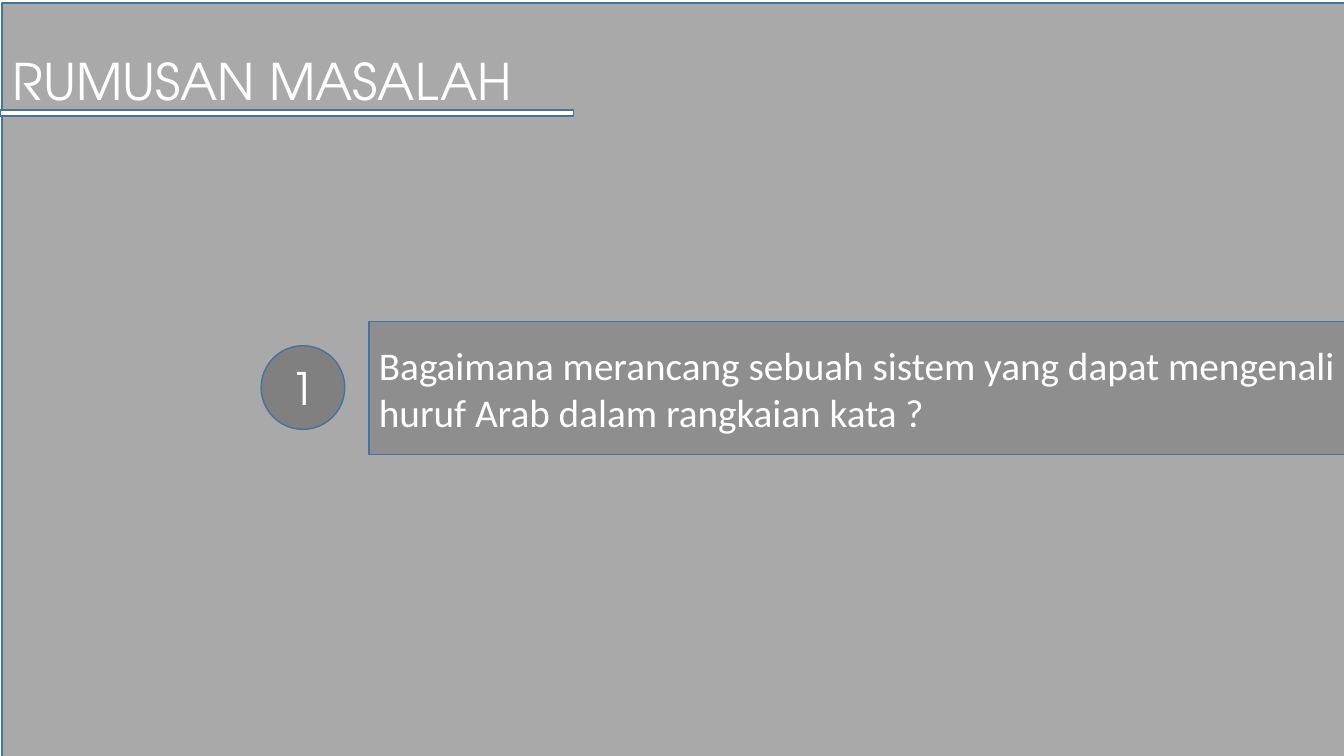
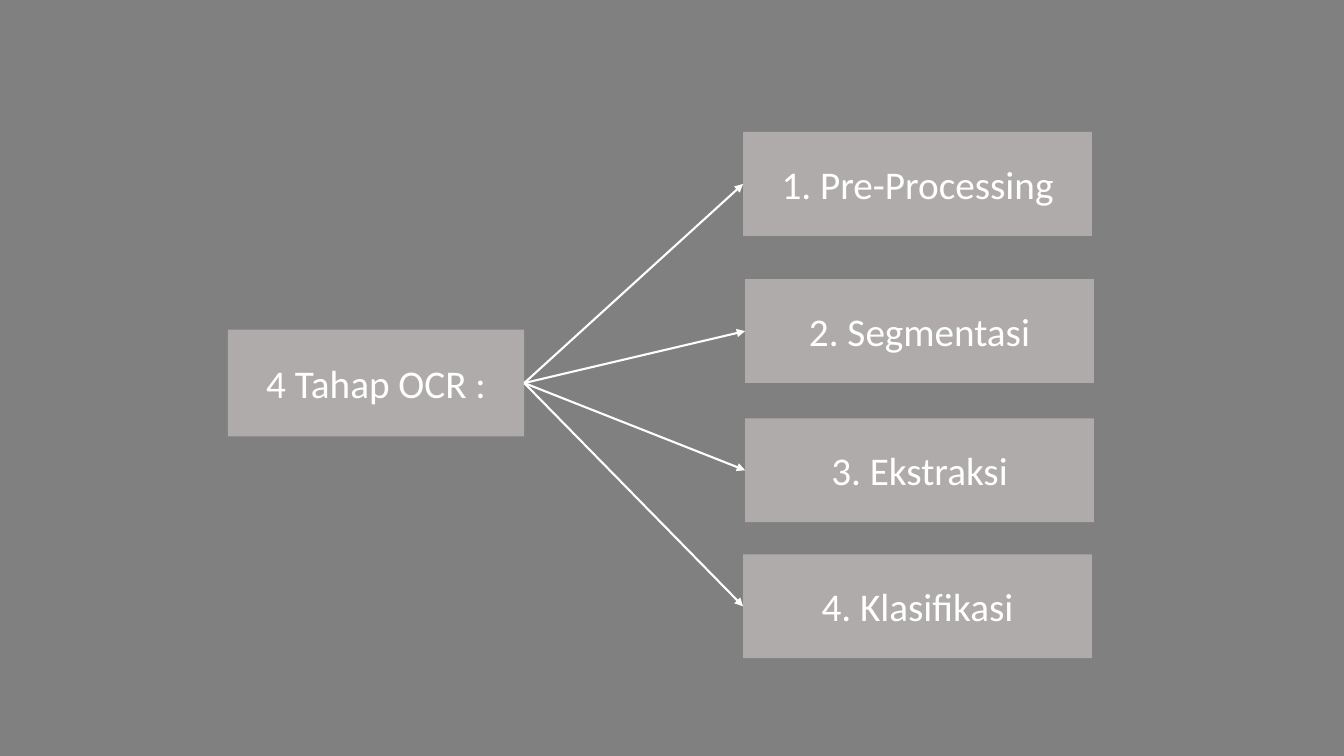
from dataclasses import dataclass
from typing import Optional

from lxml import etree
from pptx import Presentation
from pptx.dml.color import RGBColor
from pptx.enum.shapes import MSO_CONNECTOR, MSO_SHAPE
from pptx.enum.text import MSO_ANCHOR, MSO_AUTO_SIZE, PP_ALIGN
from pptx.oxml.ns import qn
from pptx.util import Inches, Pt

RECTANGLE = MSO_SHAPE.RECTANGLE
OVAL = MSO_SHAPE.OVAL
STRAIGHT = MSO_CONNECTOR.STRAIGHT
LEFT, CENTER = PP_ALIGN.LEFT, PP_ALIGN.CENTER
TOP, MIDDLE = MSO_ANCHOR.TOP, MSO_ANCHOR.MIDDLE
NO_AUTOFIT = MSO_AUTO_SIZE.NONE

WHITE, GRAY, STONE, BLUE = "FFFFFF", "808080", "AFABAB", "43739E"
BODY_FONT, DISPLAY_FONT = "Calibri", "TeX Gyre Adventor"
TITLE_ONLY, BLANK = 5, 6
LEFT_SITE, RIGHT_SITE = 1, 3
STEP_WIDTH, STEP_HEIGHT = 3.46, 1.03


@dataclass(frozen=True)
class Area:
    left: float
    top: float
    width: float
    height: float

    def lengths(self) -> tuple:
        return tuple(map(Inches, (self.left, self.top, self.width, self.height)))


@dataclass(frozen=True)
class Step:
    text: str
    left: float
    top: float


STEPS = (
    Step("1. Pre-Processing", 7.37, 1.31),
    Step("2. Segmentasi", 7.39, 2.77),
    Step("3. Ekstraksi", 7.39, 4.15),
    Step("4. Klasifikasi", 7.37, 5.5),
)


def color(value: str) -> RGBColor:
    return RGBColor.from_string(value)


def write_text(shape, text: str, *, size: float = 28, font: str = BODY_FONT,
               align=CENTER, anchor=MIDDLE) -> None:
    frame = shape.text_frame
    frame.word_wrap = True
    frame.auto_size = NO_AUTOFIT
    frame.vertical_anchor = anchor
    para = frame.paragraphs[0]
    para.alignment = align
    span = para.add_run()
    span.text = text
    span.font.size = Pt(size)
    span.font.name = font
    span.font.color.rgb = color(WHITE)


def add_box(slide, area: Area, fill: str, *, kind=RECTANGLE,
            outline: Optional[str] = None, opacity: int = 100):
    box = slide.shapes.add_shape(kind, *area.lengths())
    box.shadow.inherit = False
    box.fill.solid()
    box.fill.fore_color.rgb = color(fill)
    if opacity < 100:
        fill_color = box.element.spPr.find(f"{qn('a:solidFill')}/{qn('a:srgbClr')}")
        etree.SubElement(fill_color, qn("a:alpha"), val=str(opacity * 1000))
    if outline:
        box.line.color.rgb = color(outline)
        box.line.width = Pt(1)
    else:
        box.line.fill.background()
    return box


def add_arrow(slide, source, target) -> None:
    arrow = slide.shapes.add_connector(STRAIGHT, 0, 0, 0, 0)
    arrow.begin_connect(source, RIGHT_SITE)
    arrow.end_connect(target, LEFT_SITE)
    arrow.line.color.rgb = color(WHITE)
    arrow.line.width = Pt(1.5)
    etree.SubElement(arrow.line._get_or_add_ln(), qn("a:tailEnd"), type="triangle")
    etree.SubElement(arrow.element.spPr, qn("a:effectLst"))


def add_slide(deck, layout: int, background: str):
    slide = deck.slides.add_slide(deck.slide_layouts[layout])
    slide.background.fill.solid()
    slide.background.fill.fore_color.rgb = color(background)
    return slide


def place_title(slide, text: str, area: Area) -> None:
    title = slide.shapes.title
    title.left, title.top, title.width, title.height = area.lengths()
    write_text(title, text, size=36, font=DISPLAY_FONT, align=LEFT, anchor=TOP)
    title.element.getparent().append(title.element)


def build_problem_slide(deck) -> None:
    slide = add_slide(deck, TITLE_ONLY, WHITE)
    add_box(slide, Area(0.02, 0.03, 13.33, 7.5), GRAY, outline=BLUE, opacity=67)
    add_box(slide, Area(0, 1.09, 5.69, 0.06), WHITE, outline=BLUE)
    place_title(slide, "RUMUSAN MASALAH", Area(0.02, 0.45, 5.68, 0.71))
    question = add_box(slide, Area(3.66, 3.19, 9.71, 1.32), GRAY,
                       outline=BLUE, opacity=65)
    write_text(question, "Bagaimana merancang sebuah sistem yang dapat mengenali "
               "huruf Arab dalam rangkaian kata ?", align=LEFT)
    badge = add_box(slide, Area(2.59, 3.43, 0.83, 0.83), GRAY,
                    kind=OVAL, outline=BLUE)
    write_text(badge, "1", size=32, font=DISPLAY_FONT)


def build_stages_slide(deck) -> None:
    slide = add_slide(deck, BLANK, GRAY)
    hub = add_box(slide, Area(2.26, 3.27, 2.94, 1.06), STONE)
    write_text(hub, "4 Tahap OCR :")
    for step in STEPS:
        box = add_box(slide, Area(step.left, step.top, STEP_WIDTH, STEP_HEIGHT), STONE)
        write_text(box, step.text)
        add_arrow(slide, hub, box)


def main() -> None:
    deck = Presentation()
    deck.slide_width, deck.slide_height = Inches(13.33), Inches(7.5)
    build_problem_slide(deck)
    build_stages_slide(deck)
    deck.save("out.pptx")


if __name__ == "__main__":
    main()
